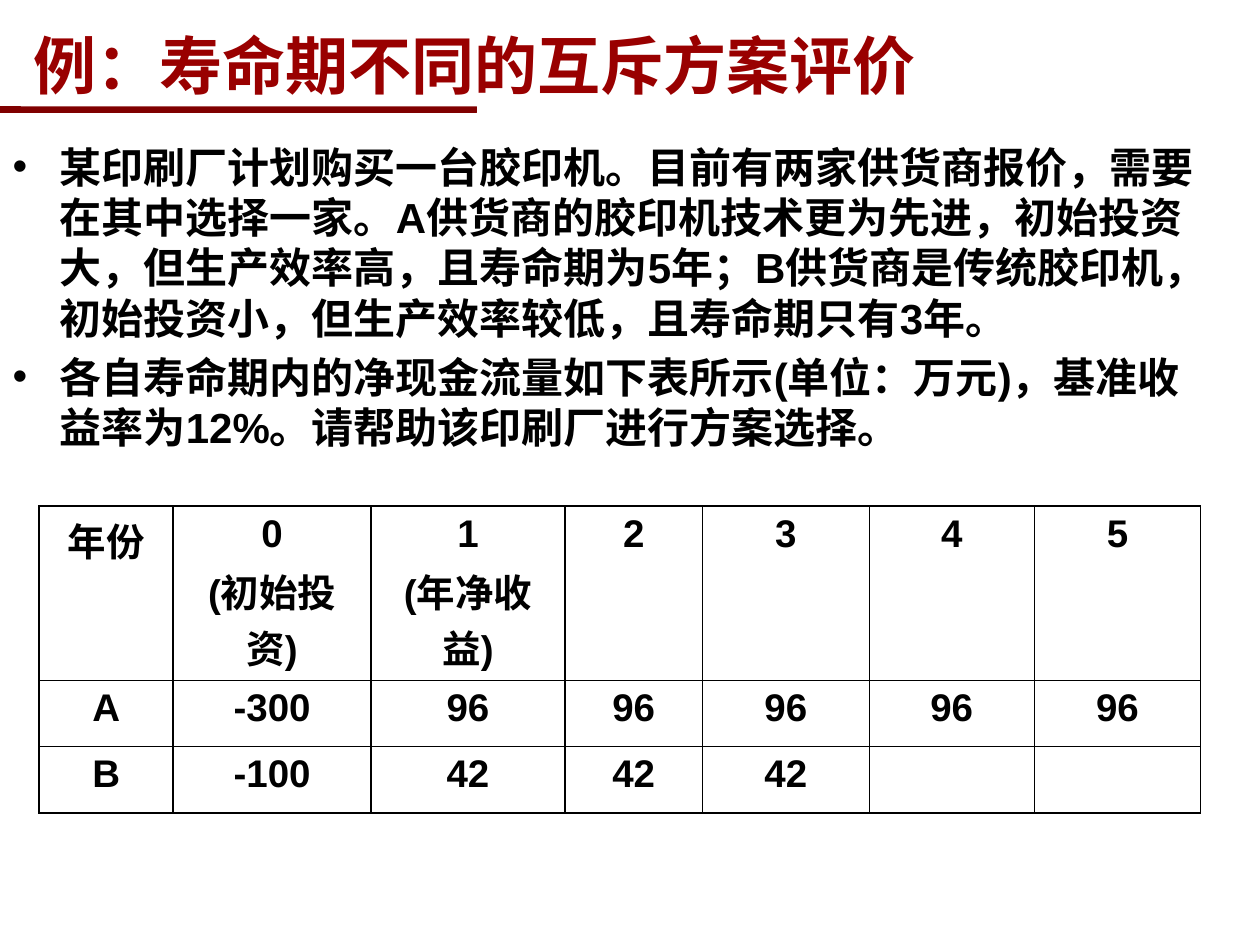
from lxml import etree
from pptx import Presentation, util as u
from pptx.dml.color import RGBColor
from pptx.enum import shapes, text
from pptx.oxml.ns import qn

look = {
    "title": {"name": "Arial", "size": u.Pt(36), "bold": True},
    "body": {"name": "Arial", "size": u.Pt(24), "bold": True},
    "cell": {"name": "Arial", "size": u.Pt(22), "bold": True},
    "red": RGBColor.from_string("990000"),
    "bar": RGBColor.from_string("800000"),
    "ink": RGBColor.from_string("000000"),
    "paper": RGBColor.from_string("FFFFFF"),
}

deck = Presentation()
deck.slide_width, deck.slide_height = u.Inches(10), u.Inches(7.5)
col, row = deck.slide_width / 100, deck.slide_height / 75


def place(x, y, w, h):
    return dict(left=round(x * col), top=round(y * row),
                width=round(w * col), height=round(h * row))


def dress(item, vals, tint=None):
    for key, val in vals.items():
        setattr(item, key, val)
    if tint is not None:
        item.color.rgb = tint


slide = deck.slides.add_slide(deck.slide_layouts[1])
title, body = slide.placeholders

bar = slide.shapes.add_shape(shapes.MSO_SHAPE.RECTANGLE,
                             **place(-0.1, 8.45, 37.9, 0.5))
bar.shadow.inherit = False
bar.fill.solid()
bar.fill.fore_color.rgb = look["bar"]
dress(bar.line, {"width": u.Pt(0.75)}, look["bar"])
slide.shapes._spTree.insert(2, bar._element)

for box, spot, anchor in (
    (title, place(1.65, 1.75, 89.4, 6.7), text.MSO_ANCHOR.MIDDLE),
    (body, place(0, 10.7, 97.4, 26.8), text.MSO_ANCHOR.TOP),
):
    dress(box, spot)
    box.fill.solid()
    box.fill.fore_color.rgb = look["paper"]
    dress(box.text_frame, {"word_wrap": True, "vertical_anchor": anchor,
                           "auto_size": text.MSO_AUTO_SIZE.NONE})

title.text_frame.text = "例：寿命期不同的互斥方案评价"
head = title.text_frame.paragraphs[0]
head.alignment = text.PP_ALIGN.LEFT
dress(head.runs[0].font, look["title"], look["red"])

body.text_frame.text = "\n".join((
    "某印刷厂计划购买一台胶印机。目前有两家供货商报价，需要在其中选择一家。"
    "A供货商的胶印机技术更为先进，初始投资大，但生产效率高，且寿命期为5年；"
    "B供货商是传统胶印机，初始投资小，但生产效率较低，且寿命期只有3年。",
    "各自寿命期内的净现金流量如下表所示(单位：万元)，基准收益率为12%。"
    "请帮助该印刷厂进行方案选择。",
))
for n, para in enumerate(body.text_frame.paragraphs):
    dress(para, {"line_spacing": 1.0, "space_before": u.Pt(4.8 * n)})
    prop = para._p.get_or_add_pPr()
    prop.set("marL", str(round(3.75 * col)))
    prop.set("indent", str(round(-3.75 * col)))
    etree.SubElement(prop, qn("a:buChar"), char="•")
    dress(para.runs[0].font, look["body"], look["ink"])

data = (
    ("年份", "0\n(初始投资)", "1\n(年净收益)", "2", "3", "4", "5"),
    ("A", "-300", "96", "96", "96", "96", "96"),
    ("B", "-100", "42", "42", "42", "", ""),
)
wides = (10.65, 15.7, 15.4, 10.9, 13.25, 13.1, 13.2)
highs = (10.2, 5.25, 5.25)
grid = slide.shapes.add_table(
    len(highs), len(wides),
    **place(3.1, 40.15, sum(wides), sum(highs))).table
for line, wide in zip(grid.columns, wides):
    line.width = round(wide * col)
for line, high, words in zip(grid.rows, highs, data):
    line.height = round(high * row)
    for cell, word in zip(line.cells, words):
        cell.text = word
        for n, para in enumerate(cell.text_frame.paragraphs):
            dress(para, {"alignment": text.PP_ALIGN.CENTER,
                         "space_before": u.Pt(4.4 * n)})
            dress(para.font, look["cell"], look["ink"])
            for run in para.runs:
                dress(run.font, look["cell"], look["ink"])
        prop = cell._tc.get_or_add_tcPr()
        for side in ("lnL", "lnR", "lnT", "lnB"):
            edge = etree.SubElement(prop, qn("a:" + side), w=str(u.Pt(1)))
            fill = etree.SubElement(edge, qn("a:solidFill"))
            etree.SubElement(fill, qn("a:srgbClr"), val=str(look["ink"]))
        cell.fill.background()

deck.save("out.pptx")
